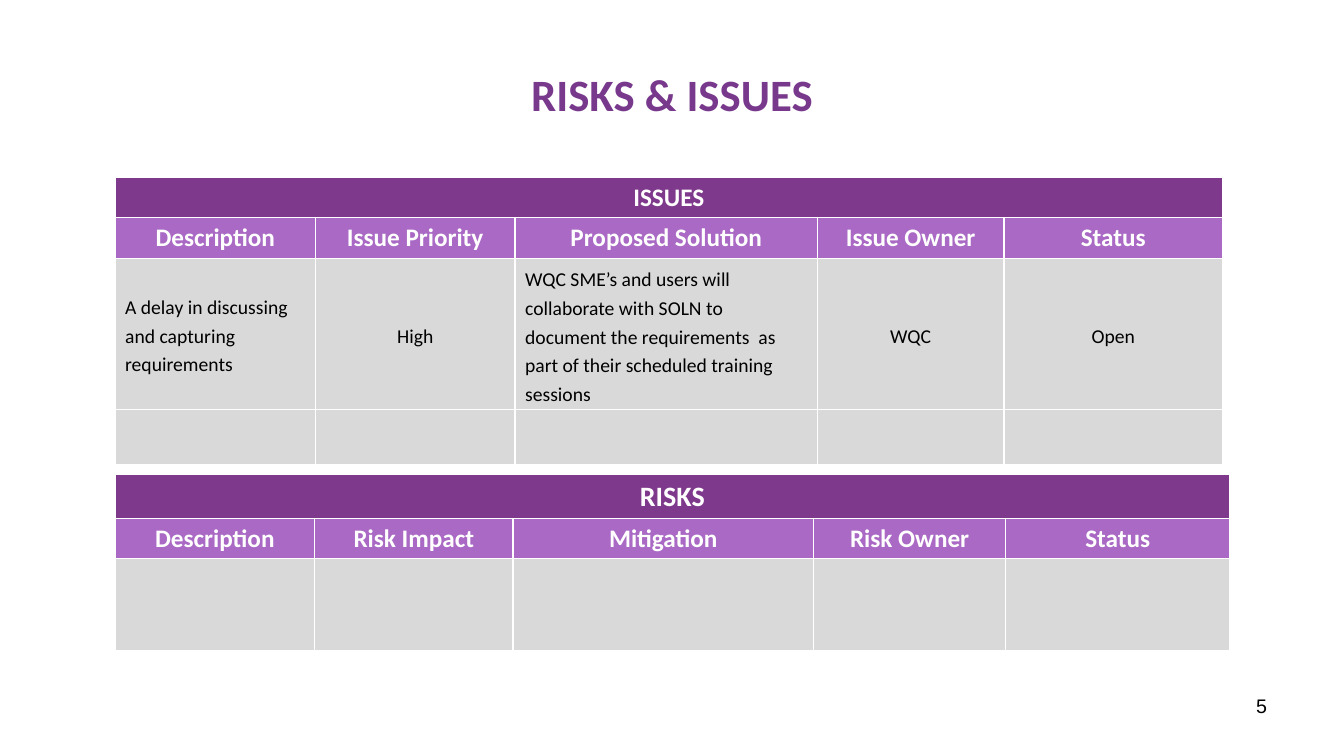
import pptx
import pptx.dml.color
import pptx.enum.text
import pptx.oxml
import pptx.oxml.ns
import pptx.util
from dataclasses import dataclass

Cm = pptx.util.Cm
Pt = pptx.util.Pt
ALIGN = pptx.enum.text.PP_ALIGN
ANCHOR = pptx.enum.text.MSO_ANCHOR

TITLE = "RISKS & ISSUES"
PAGE_NUMBER = "5"
TABLES = [
    {
        "banner": "ISSUES",
        "banner_size": 18,
        "top": 4.47,
        "columns": [5.05, 5.03, 7.62, 4.7, 5.51],
        "rows": [1.02, 1.02, 3.81, 1.4],
        "headings": ["Description", "Issue Priority", "Proposed Solution", "Issue Owner", "Status"],
        "entries": [
            [
                "A delay in discussing and capturing requirements",
                "High",
                "WQC SME’s and users will collaborate with SOLN to document the "
                "requirements  as part of their scheduled training sessions",
                "WQC",
                "Open",
            ],
            [""] * 5,
        ],
    },
    {
        "banner": "RISKS",
        "banner_size": 20,
        "top": 11.96,
        "columns": [5.03, 5.0, 7.57, 4.85, 5.64],
        "rows": [1.09, 1.02, 2.31],
        "headings": ["Description", "Risk Impact", "Mitigation", "Risk Owner", "Status"],
        "entries": [[""] * 5],
    },
]
TABLE_LEFT = 2.9
PROSE_COLUMNS = (0, 2)


@dataclass(frozen=True)
class Theme:
    title: str = "78398D"
    banner: str = "7F398C"
    heading: str = "A969C4"
    body: str = "D9D9D9"
    light: str = "FFFFFF"
    dark: str = "000000"
    font: str = "Calibri"
    number_font: str = "Arial"
    title_size: int = 32
    heading_size: int = 18
    body_size: int = 14
    border: int = 1


THEME = Theme()


def rgb(color):
    return pptx.dml.color.RGBColor.from_string(color)


def write(frame, text, size, color, bold=False, align=ALIGN.CENTER, font=THEME.font, spacing=None):
    para = frame.paragraphs[0]
    para.alignment = align
    para.line_spacing = spacing
    span = para.add_run()
    span.text = text
    span.font.name = font
    span.font.size = Pt(size)
    span.font.bold = bold
    span.font.color.rgb = rgb(color)


def add_text(page, area, anchor, *args, **kwargs):
    box = page.shapes.add_textbox(*(Cm(length) for length in area))
    box.text_frame.word_wrap = True
    box.text_frame.vertical_anchor = anchor
    write(box.text_frame, *args, **kwargs)


def style_cell(cell, color):
    properties = cell._tc.get_or_add_tcPr()
    for side in ("lnL", "lnR", "lnT", "lnB"):
        properties.append(pptx.oxml.parse_xml(
            f'<a:{side} {pptx.oxml.ns.nsdecls("a")} w="{Pt(THEME.border)}">'
            f'<a:solidFill><a:srgbClr val="{THEME.light}"/></a:solidFill></a:{side}>'
        ))
    cell.fill.solid()
    cell.fill.fore_color.rgb = rgb(color)


def add_register(page, register):
    columns, rows = register["columns"], register["rows"]
    table = page.shapes.add_table(
        len(rows), len(columns), Cm(TABLE_LEFT), Cm(register["top"]),
        Cm(sum(columns)), Cm(sum(rows)),
    ).table
    for column, width in zip(table.columns, columns):
        column.width = Cm(width)
    for row, height in zip(table.rows, rows):
        row.height = Cm(height)

    fills = [THEME.banner, THEME.heading] + [THEME.body] * len(register["entries"])
    for row, fill in zip(table.rows, fills):
        for cell in row.cells:
            style_cell(cell, fill)

    banner = table.cell(0, 0)
    banner.merge(table.cell(0, len(columns) - 1))
    write(banner.text_frame, register["banner"], register["banner_size"], THEME.light, True)
    for index, heading in enumerate(register["headings"]):
        write(table.cell(1, index).text_frame, heading, THEME.heading_size, THEME.light, True)
    for row_index, entry in enumerate(register["entries"], start=2):
        for index, text in enumerate(entry):
            if text:
                cell = table.cell(row_index, index)
                cell.vertical_anchor = ANCHOR.MIDDLE
                align = ALIGN.LEFT if index in PROSE_COLUMNS else ALIGN.CENTER
                write(cell.text_frame, text, THEME.body_size, THEME.dark, align=align, spacing=1.2)


def main():
    deck = pptx.Presentation()
    deck.slide_width, deck.slide_height = Cm(33.87), Cm(19.05)
    page = deck.slides.add_slide(deck.slide_layouts[6])
    add_text(page, (1.7, 0.76, 30.48, 3.18), ANCHOR.MIDDLE,
             TITLE, THEME.title_size, THEME.title, bold=True)
    add_text(page, (24.28, 17.35, 7.9, 1.32), ANCHOR.TOP,
             PAGE_NUMBER, THEME.body_size, THEME.dark,
             align=ALIGN.RIGHT, font=THEME.number_font)
    for register in TABLES:
        add_register(page, register)
    deck.save("out.pptx")


if __name__ == "__main__":
    main()
